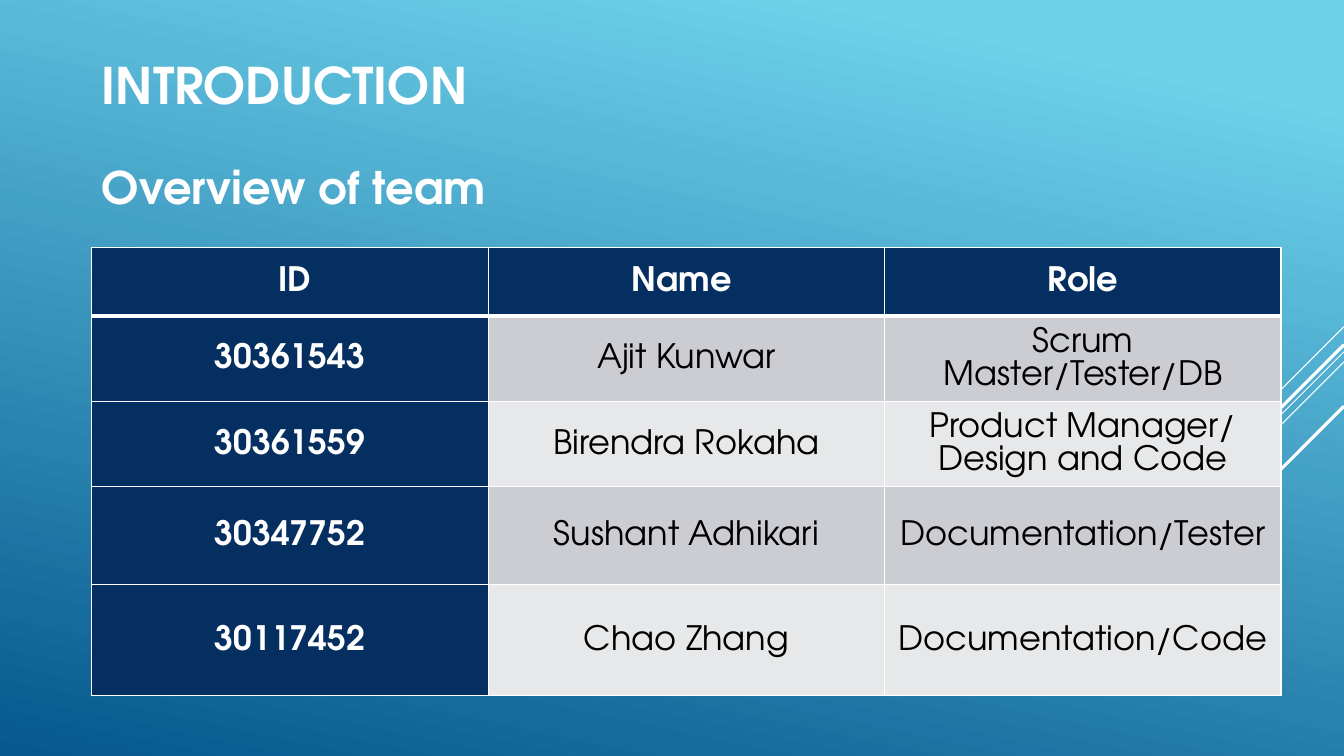
from lxml.etree import SubElement
from pptx import Presentation
from pptx.dml.color import RGBColor
from pptx.enum.shapes import MSO_CONNECTOR as Connector
from pptx.enum.text import MSO_ANCHOR as Anchor, PP_ALIGN as Align
from pptx.oxml.ns import qn
from pptx.util import Pt

FONT = "TeX Gyre Adventor"
COLORS = {
    "sky": "6ED2EB",
    "ocean": "06588E",
    "navy": "052F61",
    "white": "FFFFFF",
    "black": "000000",
    "band_dark": "CCCDD2",
    "band_light": "E7E8EA",
}
LEFT = 65.5
WIDTH, HEIGHT = 960, 540
COLUMN_WIDTH = 283.2
ROW_HEIGHTS = [49, 47, 56, 70, 79]
TEAM = [
    (" ID", "Name ", "Role"),
    ("30361543", "Ajit Kunwar", "Scrum Master/Tester/DB"),
    ("30361559", "Birendra Rokaha", "Product Manager/ Design and Code"),
    ("30347752", "Sushant Adhikari", "Documentation/Tester"),
    ("30117452", "Chao Zhang", "Documentation/Code"),
]
STREAKS = [
    (233.3, 72, 0.75),
    (251.3, 234.7, 0.75),
    (258.5, 149, 0.75),
    (246.2, 137.5, 2.25),
    (290.2, 100, 2.25),
]


def color(name):
    return RGBColor.from_string(COLORS[name])


def format_run(r, text, size, color_name, bold):
    r.text = text
    for key, value in {"name": FONT, "size": Pt(size), "bold": bold}.items():
        setattr(r.font, key, value)
    r.font.color.rgb = color(color_name)


def paint_background(s):
    fill = s.background.fill
    fill.gradient()
    fill.gradient_angle = 258
    stops = zip(fill.gradient_stops, [(0.1, "sky"), (1, "ocean")])
    for stop, (position, name) in stops:
        stop.position = position
        stop.color.rgb = color(name)


def add_streak(s, top, run, weight):
    line = s.shapes.add_connector(
        Connector.STRAIGHT, Pt(WIDTH), Pt(top), Pt(WIDTH - run), Pt(top + run))
    line.line.color.rgb = color("white")
    line.line.width = Pt(weight)
    SubElement(line._element.spPr, qn("a:effectLst"))


def add_heading(s, text, top, height, size):
    sp = s.shapes.add_textbox(Pt(LEFT), Pt(top), Pt(672), Pt(height))
    tf = sp.text_frame
    for key, value in {"word_wrap": True, "vertical_anchor": Anchor.MIDDLE}.items():
        setattr(tf, key, value)
    format_run(tf.paragraphs[0].add_run(), text, size, "white", True)


def add_border(cell, side, weight):
    ln = SubElement(cell._tc.get_or_add_tcPr(), qn(f"a:ln{side}"), w=str(Pt(weight)))
    fill = SubElement(ln, qn("a:solidFill"))
    SubElement(fill, qn("a:srgbClr"), val=COLORS["white"])


def format_cell(cell, text, row, column):
    strong = row == 0 or column == 0
    for side in "LRTB":
        edge = (row, side) in [(0, "B"), (1, "T")]
        add_border(cell, side, 3 if edge else 1)
    layout = {
        "margin_left": Pt(5), "margin_right": Pt(5),
        "margin_top": 0, "margin_bottom": 0,
        "vertical_anchor": Anchor.MIDDLE,
    }
    for key, value in layout.items():
        setattr(cell, key, value)
    band = "band_dark" if row % 2 else "band_light"
    cell.fill.solid()
    cell.fill.fore_color.rgb = color("navy" if strong else band)
    p = cell.text_frame.paragraphs[0]
    for key, value in {"alignment": Align.CENTER, "line_spacing": 1.06}.items():
        setattr(p, key, value)
    format_run(p.add_run(), text, 24, "white" if strong else "black", strong)


def add_team_table(s):
    columns = len(TEAM[0])
    table = s.shapes.add_table(
        len(TEAM), columns, Pt(LEFT), Pt(176.5),
        Pt(COLUMN_WIDTH * columns), Pt(sum(ROW_HEIGHTS))).table
    for column in table.columns:
        column.width = Pt(COLUMN_WIDTH)
    for row, (height, values) in enumerate(zip(ROW_HEIGHTS, TEAM)):
        table.rows[row].height = Pt(height)
        for column, text in enumerate(values):
            format_cell(table.cell(row, column), text, row, column)


def main():
    prs = Presentation()
    prs.slide_width, prs.slide_height = Pt(WIDTH), Pt(HEIGHT)
    s = prs.slides.add_slide(prs.slide_layouts[6])
    paint_background(s)
    for streak in STREAKS:
        add_streak(s, *streak)
    add_heading(s, "INTRODUCTION", 35, 50, 36)
    add_heading(s, "Overview of team", 110, 46, 32)
    add_team_table(s)
    prs.save("out.pptx")


if __name__ == "__main__":
    main()
